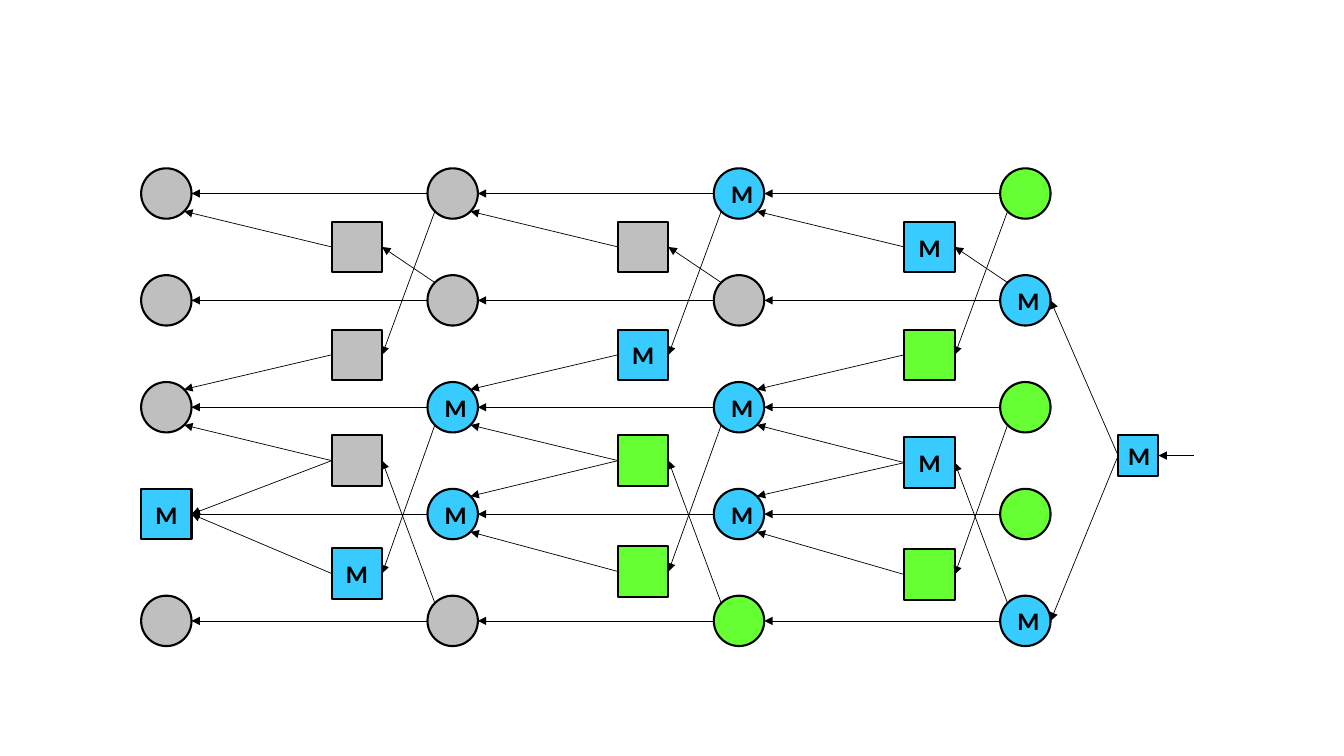
from math import cos, pi

from lxml.etree import SubElement
from pptx import Presentation
from pptx.dml.color import RGBColor
from pptx.enum.shapes import MSO_CONNECTOR, MSO_SHAPE
from pptx.enum.text import MSO_ANCHOR, PP_ALIGN
from pptx.oxml.ns import qn
from pptx.util import Inches, Pt

FILLS = {"-": "BFBFBF", "M": "37CBFF", "+": "66FF33"}
NODE_SIZE = 0.5
COLUMN_PITCH = 2.84
ROW_PITCH = 1.06
LEFT, RIGHT = 1, 3
UP, DOWN = -1, 1

STATES = ["---M-", "--MM-", "M-MM+", "+M++M"]
MERGES = [
    ("---M", (2.2, 3.27, 4.32, 5.44)),
    ("-M++", (2.2, 3.27, 4.32, 5.42)),
    ("M+M+", (2.2, 3.27, 4.34, 5.45)),
]
SOURCES = [(1, UP), (0, DOWN), (4, UP), (2, DOWN)]
TARGETS = [[(0, DOWN)], [(2, UP)], [(2, DOWN), (3, UP)], [(3, DOWN)]]


def rgb(value):
    return RGBColor.from_string(value)


def add_node(slide, kind, left, top, state, size=NODE_SIZE):
    node = slide.shapes.add_shape(
        kind, Inches(left), Inches(top), Inches(size), Inches(size))
    node.shadow.inherit = False
    node.fill.solid()
    node.fill.fore_color.rgb = rgb(FILLS[state])
    node.line.color.rgb = rgb("000000")
    node.line.width = Pt(1.5)
    if state == "M":
        node.text_frame.vertical_anchor = MSO_ANCHOR.MIDDLE
        paragraph = node.text_frame.paragraphs[0]
        paragraph.alignment = PP_ALIGN.CENTER
        run = paragraph.add_run()
        run.text = "M"
        run.font.name = "Calibri"
        run.font.size = Pt(18)
        run.font.bold = True
        run.font.color.rgb = rgb("000000")
    return node


def is_square(node):
    return node.auto_shape_type == MSO_SHAPE.RECTANGLE


def edge_point(node, side, tilt):
    radius = node.width / 2
    reach = radius * (1 if is_square(node) or not tilt else cos(pi / 4))
    drop = 0 if is_square(node) else reach * tilt
    direction = -1 if side == LEFT else 1
    return (int(node.left + radius + direction * reach),
            int(node.top + radius + drop))


def add_arrow(slide, start, end):
    arrow = slide.shapes.add_connector(MSO_CONNECTOR.STRAIGHT, *start, *end)
    arrow.line.color.rgb = rgb("000000")
    arrow.line.width = Pt(0.5)
    SubElement(arrow.line._get_or_add_ln(), qn("a:tailEnd"), type="triangle")
    SubElement(arrow._element.spPr, qn("a:effectLst"))
    return arrow


def link(slide, start, end, start_tilt=0, end_tilt=0):
    arrow = add_arrow(slide, edge_point(start, LEFT, start_tilt),
                      edge_point(end, RIGHT, end_tilt))
    if is_square(start):
        arrow.begin_connect(start, LEFT)
    if is_square(end):
        arrow.end_connect(end, RIGHT)


def add_state_column(slide, column, states):
    nodes = []
    for row, state in enumerate(states):
        first_merged = column == 0 and state == "M"
        kind = MSO_SHAPE.RECTANGLE if first_merged else MSO_SHAPE.OVAL
        nodes.append(add_node(slide, kind, 1.4 + COLUMN_PITCH * column,
                              1.67 + ROW_PITCH * row, state))
    return nodes


def add_stage(slide, stage, earlier, later):
    for start, end in zip(later, earlier):
        link(slide, start, end)
    states, tops = MERGES[stage]
    for state, top, (source, tilt), targets in zip(
            states, tops, SOURCES, TARGETS):
        merge = add_node(slide, MSO_SHAPE.RECTANGLE,
                         3.29 + COLUMN_PITCH * stage, top, state)
        link(slide, later[source], merge, start_tilt=tilt)
        for target, target_tilt in targets:
            link(slide, merge, earlier[target], end_tilt=target_tilt)


def add_root(slide, last_column):
    root = add_node(slide, MSO_SHAPE.RECTANGLE, 11.09, 4.32, "M", size=0.4)
    for row in (1, 4):
        link(slide, root, last_column[row])
    entry = add_arrow(slide, (Inches(11.84), Inches(4.52)),
                      edge_point(root, RIGHT, 0))
    entry.end_connect(root, RIGHT)


def main():
    deck = Presentation()
    deck.slide_width = Inches(13.33)
    deck.slide_height = Inches(7.5)
    slide = deck.slides.add_slide(deck.slide_layouts[6])
    columns = [add_state_column(slide, column, states)
               for column, states in enumerate(STATES)]
    for stage, (earlier, later) in enumerate(zip(columns, columns[1:])):
        add_stage(slide, stage, earlier, later)
    add_root(slide, columns[-1])
    deck.save("out.pptx")


if __name__ == "__main__":
    main()
